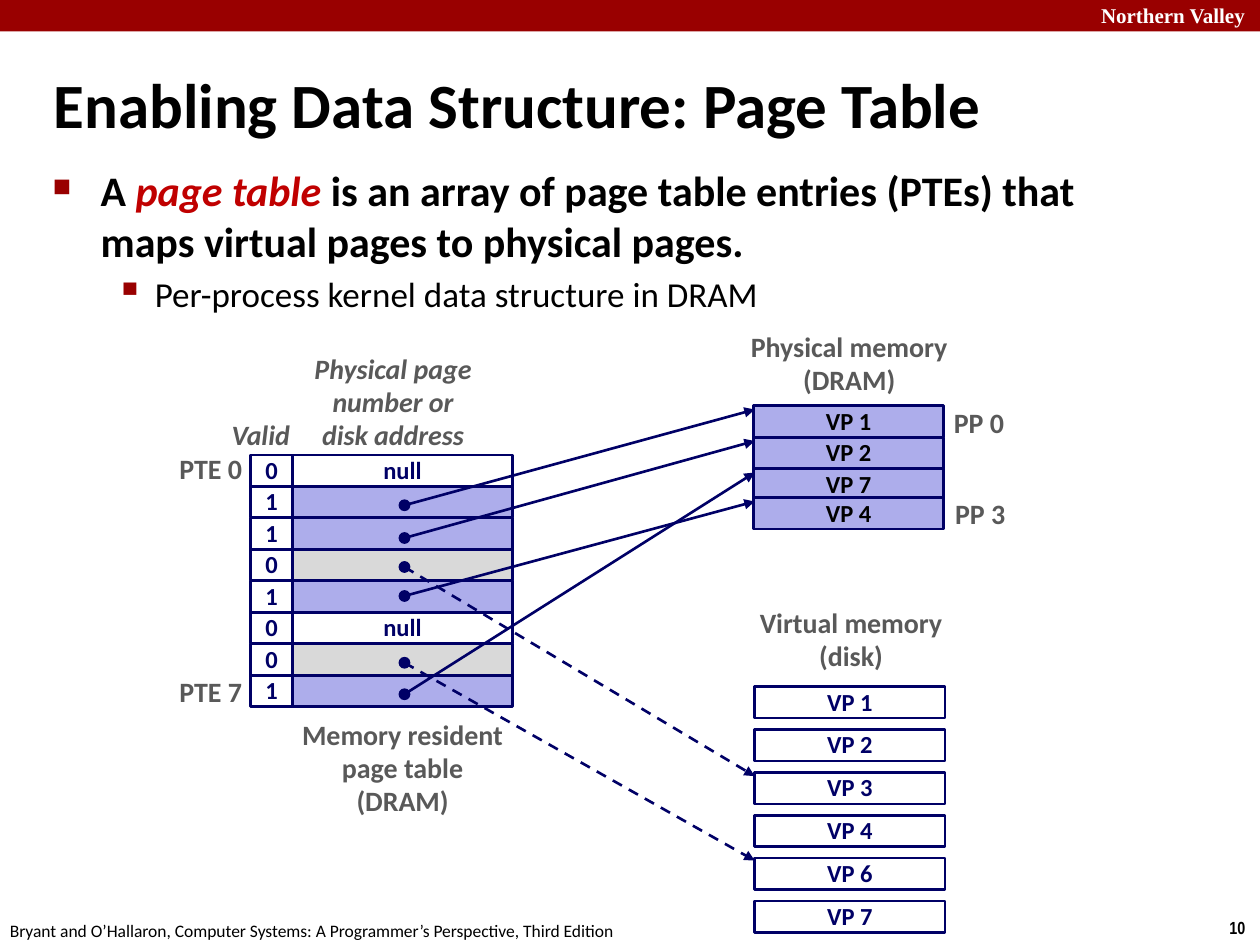
from lxml import etree
from pptx import Presentation
from pptx.dml.color import RGBColor
from pptx.enum.dml import MSO_LINE
from pptx.enum.shapes import MSO_CONNECTOR, MSO_SHAPE
from pptx.enum.text import MSO_ANCHOR, MSO_AUTO_SIZE, PP_ALIGN
from pptx.oxml.ns import qn
from pptx.util import Inches, Pt

NAVY, LILAC, SILVER, WHITE = "000066", "ADADEB", "D9D9D9", "FFFFFF"
RED, BLACK, GRAY = "990000", "000000", "595959"
ALIGN = {"left": PP_ALIGN.LEFT, "center": PP_ALIGN.CENTER, "right": PP_ALIGN.RIGHT}
LINE_WIDTH = 1.5

# Page table rows: valid bit, fill, text
ROW_HEIGHT, TABLE_TOP = 0.25, 3.61
PAGE_TABLE = [
    ("0", WHITE, "null"), ("1", LILAC, ""), ("1", LILAC, ""), ("0", SILVER, ""),
    ("1", LILAC, ""), ("0", WHITE, "null"), ("0", SILVER, ""), ("1", LILAC, ""),
]
PHYSICAL_PAGES = [("VP 1", 3.22), ("VP 2", 3.47), ("VP 7", 3.72), ("VP 4", 3.95)]
DISK_PAGES = ["VP 1", "VP 2", "VP 3", "VP 4", "VP 6", "VP 7"]
# Pointers: dot centre, arrow tip, dashed when the page is on disk
POINTERS = [
    (4.01, 3.25, False), (4.27, 3.5, False), (4.5, 6.16, True),
    (4.73, 3.98, False), (5.26, 6.83, True), (5.51, 3.75, False),
]
DOT_SIZE, DOT_CENTER, ARROW_TIP = 0.08, 3.21, 5.99


def color(hex_string):
    return RGBColor.from_string(hex_string)


def write(paragraph, text, size=16, fill=GRAY, bold=True, italic=False,
          font="Calibri", align="left", spacing=None):
    """Add one formatted run to a paragraph."""
    paragraph.alignment = ALIGN[align]
    if spacing:
        paragraph.line_spacing = spacing
    run = paragraph.add_run()
    run.text = text
    run.font.name = font
    run.font.size = Pt(size)
    run.font.bold = bold
    run.font.italic = italic
    run.font.color.rgb = color(fill)


def add_text_box(slide, left, top, width, height, anchor=MSO_ANCHOR.TOP, wrap=True):
    box = slide.shapes.add_textbox(Inches(left), Inches(top), Inches(width), Inches(height))
    frame = box.text_frame
    frame.word_wrap = wrap
    frame.vertical_anchor = anchor
    if not wrap:
        frame.auto_size = MSO_AUTO_SIZE.SHAPE_TO_FIT_TEXT
    return frame


def add_label(slide, lines, left, top, width, height, anchor=MSO_ANCHOR.TOP, **style):
    """Add a diagram label with one paragraph for each line."""
    frame = add_text_box(slide, left, top, width, height, anchor, wrap=False)
    for index, line in enumerate(lines):
        paragraph = frame.add_paragraph() if index else frame.paragraphs[0]
        write(paragraph, line, spacing=0.98, **style)


def add_shape(slide, left, top, width, height, fill, outline=NAVY,
              line_width=LINE_WIDTH, kind=MSO_SHAPE.RECTANGLE):
    shape = slide.shapes.add_shape(
        kind, Inches(left), Inches(top), Inches(width), Inches(height))
    shape.shadow.inherit = False
    shape.fill.solid()
    shape.fill.fore_color.rgb = color(fill)
    if outline:
        shape.line.color.rgb = color(outline)
        shape.line.width = Pt(line_width)
    else:
        shape.line.fill.background()
    return shape


def add_cell(slide, text, left, top, width, fill, text_color=NAVY):
    frame = add_shape(slide, left, top, width, ROW_HEIGHT, fill).text_frame
    frame.word_wrap = False
    frame.vertical_anchor = MSO_ANCHOR.MIDDLE
    if text:
        write(frame.paragraphs[0], text, size=14, fill=text_color,
              align="center", spacing=0.98)


def add_arrow(slide, start, end, dashed):
    arrow = slide.shapes.add_connector(
        MSO_CONNECTOR.STRAIGHT, *[Inches(value) for value in (*start, *end)])
    arrow.line.color.rgb = color(NAVY)
    arrow.line.width = Pt(LINE_WIDTH)
    if dashed:
        arrow.line.dash_style = MSO_LINE.DASH
    etree.SubElement(arrow.line._get_or_add_ln(), qn("a:tailEnd"), type="triangle")
    etree.SubElement(arrow._element.spPr, qn("a:effectLst"))


def set_indent(paragraph, margin, hanging):
    properties = paragraph._p.get_or_add_pPr()
    properties.set("marL", str(Inches(margin)))
    properties.set("indent", str(-Inches(hanging)))
    return properties


def set_bullet(paragraph, character, percent, margin, hanging):
    properties = set_indent(paragraph, margin, hanging)
    bullet_color = etree.SubElement(properties, qn("a:buClr"))
    etree.SubElement(bullet_color, qn("a:srgbClr"), val=RED)
    etree.SubElement(properties, qn("a:buSzPct"), val=str(percent * 1000))
    etree.SubElement(properties, qn("a:buChar"), char=character)


def add_page_frame(slide):
    add_shape(slide, 0, 0, 10, 0.25, RED, outline=None)
    header = add_text_box(slide, 8.64, -0.03, 1.43, 0.3)
    write(header.paragraphs[0], "Northern Valley", size=12, fill=WHITE, font="Times New Roman")
    number = add_text_box(slide, 9.66, 7.23, 0.34, 0.27, wrap=False)
    write(number.paragraphs[0], "10", size=10, fill=BLACK, font="Arial Narrow")
    footer = add_text_box(slide, -0.02, 7.25, 5.08, 0.27, wrap=False)
    write(footer.paragraphs[0],
          "Bryant and O’Hallaron, Computer Systems: A Programmer’s Perspective, Third Edition",
          size=10, fill=BLACK, bold=False)


def add_title_and_body(slide):
    title = add_text_box(slide, 0.33, 0.39, 9.06, 0.86, MSO_ANCHOR.MIDDLE).paragraphs[0]
    set_indent(title, 0.13, 0.13)
    write(title, "Enabling Data Structure: Page Table", size=36, fill=BLACK)

    body = add_text_box(slide, 0.32, 1.26, 9.09, 1.41)
    definition = body.paragraphs[0]
    definition.space_before = Pt(4.8)
    set_bullet(definition, "■", 60, 0.38, 0.38)
    write(definition, "A ", size=24, fill=BLACK)
    write(definition, "page table ", size=24, fill="C00000", italic=True)
    write(definition, "is an array of page table entries (PTEs) that maps "
          "virtual pages to physical pages.", size=24, fill=BLACK)
    detail = body.add_paragraph()
    detail.level = 1
    detail.space_before = Pt(4)
    set_bullet(detail, "▪", 110, 0.81, 0.31)
    write(detail, "Per-process kernel data structure in DRAM", size=20, fill=BLACK, bold=False)


def add_page_table(slide):
    for index, (valid, fill, text) in enumerate(PAGE_TABLE):
        top = TABLE_TOP + index * ROW_HEIGHT
        add_cell(slide, text, 2.32, top, 1.75, fill)
        add_cell(slide, valid, 1.99, top, 0.33, WHITE)
    add_label(slide, ["Valid"], 1.74, 3.28, 0.75, 0.37, italic=True)
    add_label(slide, ["Physical page", "number or", "disk address"],
              2.39, 2.75, 1.46, 0.89, MSO_ANCHOR.MIDDLE, italic=True, align="center")
    add_label(slide, ["Memory resident", "page table", "(DRAM)"],
              2.27, 5.66, 1.85, 0.89, align="center")
    for text, top in (("PTE 0", 3.54), ("PTE 7", 5.31)):
        add_label(slide, [text], 1.32, top, 0.7, 0.37, MSO_ANCHOR.MIDDLE, align="right")


def add_memories(slide):
    add_label(slide, ["Physical memory", "(DRAM)"], 5.85, 2.58, 1.78, 0.63, align="center")
    for text, top in PHYSICAL_PAGES:
        add_cell(slide, text, 5.98, top, 1.51, LILAC, BLACK)
    for text, left, top in (("PP 0", 7.47, 3.18), ("PP 3", 7.48, 3.9)):
        add_label(slide, [text], left, top, 0.6, 0.37, MSO_ANCHOR.MIDDLE, align="center")
    add_label(slide, ["Virtual memory", "(disk)"], 5.91, 4.77, 1.69, 0.63, align="center")
    for index, text in enumerate(DISK_PAGES):
        add_cell(slide, text, 5.99, 5.45 + index * 0.34, 1.51, WHITE)


def add_pointers(slide):
    for center, tip, dashed in POINTERS:
        add_arrow(slide, (DOT_CENTER, center), (ARROW_TIP, tip), dashed)
        add_shape(slide, DOT_CENTER - DOT_SIZE / 2, center - DOT_SIZE / 2,
                  DOT_SIZE, DOT_SIZE, NAVY, line_width=1, kind=MSO_SHAPE.OVAL)


def main():
    presentation = Presentation()
    presentation.slide_width = Inches(10)
    presentation.slide_height = Inches(7.5)
    slide = presentation.slides.add_slide(presentation.slide_layouts[6])
    add_page_frame(slide)
    add_title_and_body(slide)
    add_page_table(slide)
    add_memories(slide)
    add_pointers(slide)
    presentation.save("out.pptx")


main()
